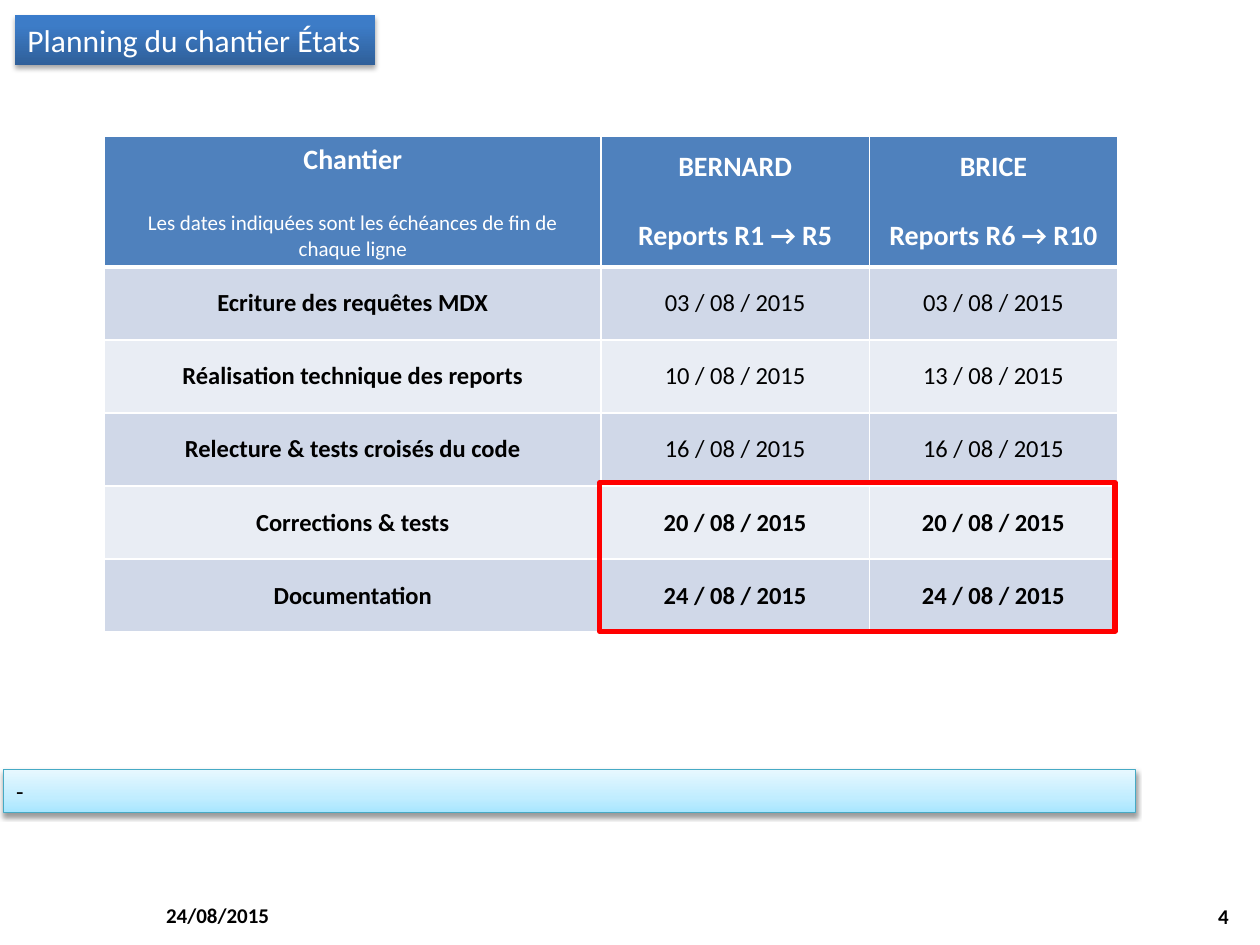
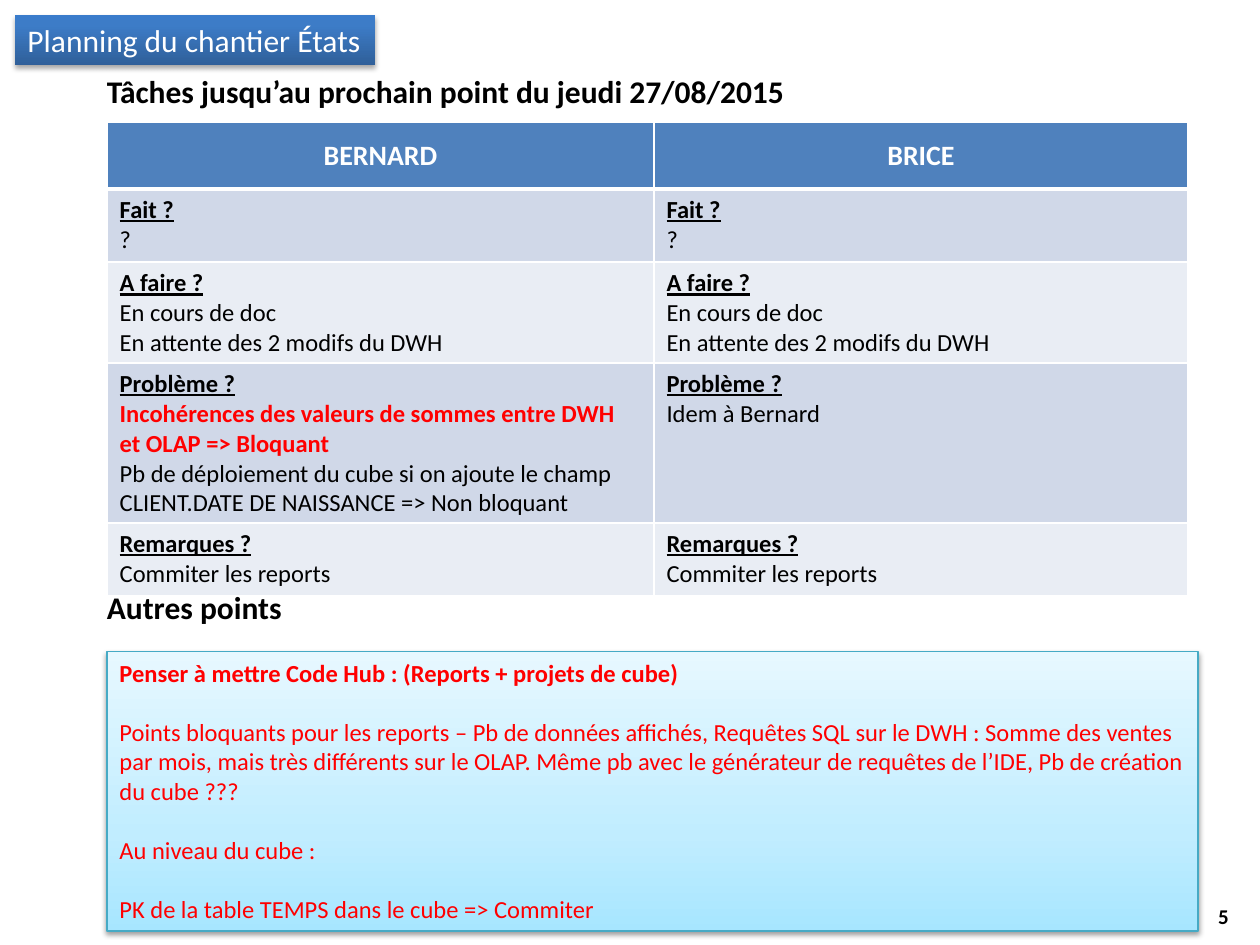
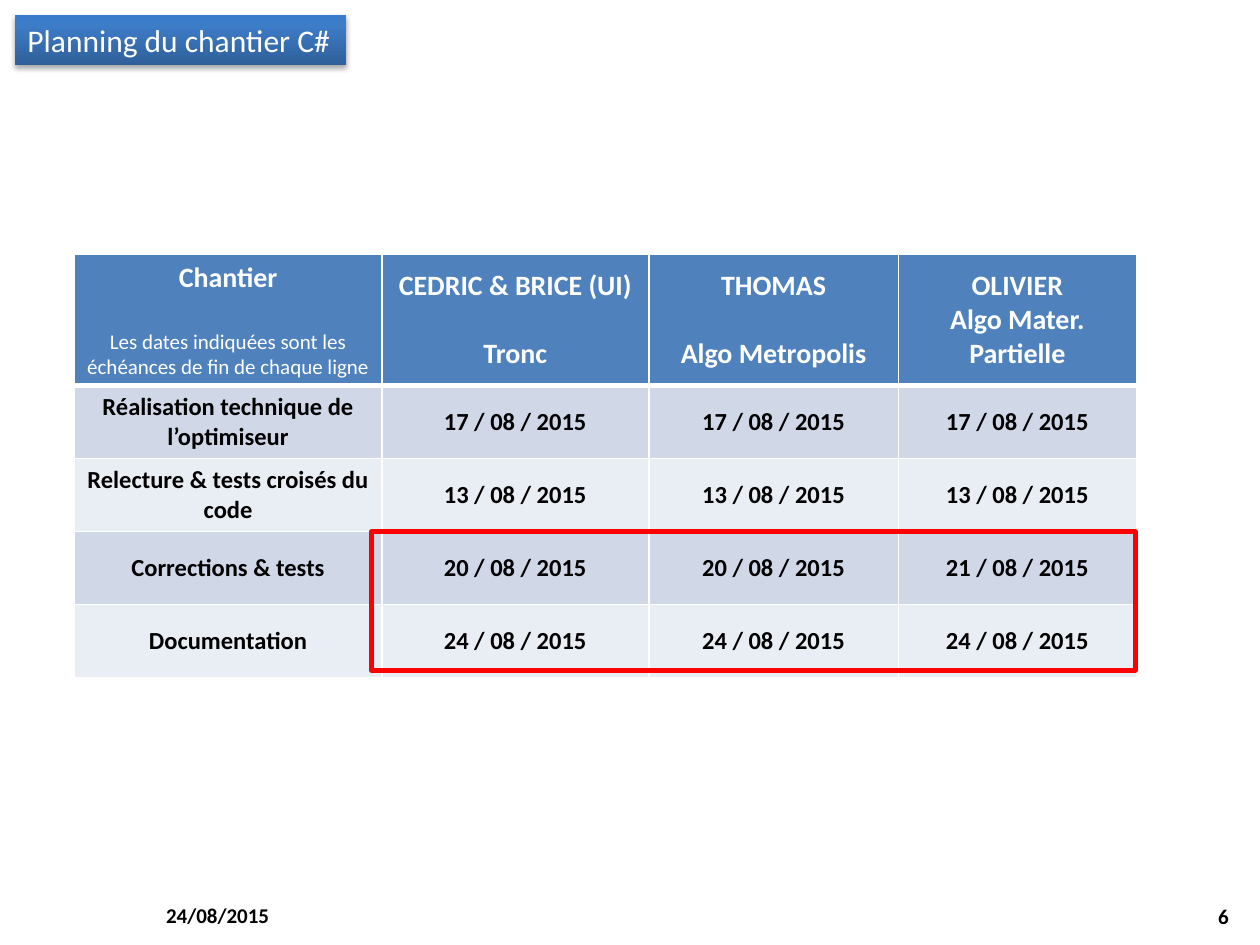
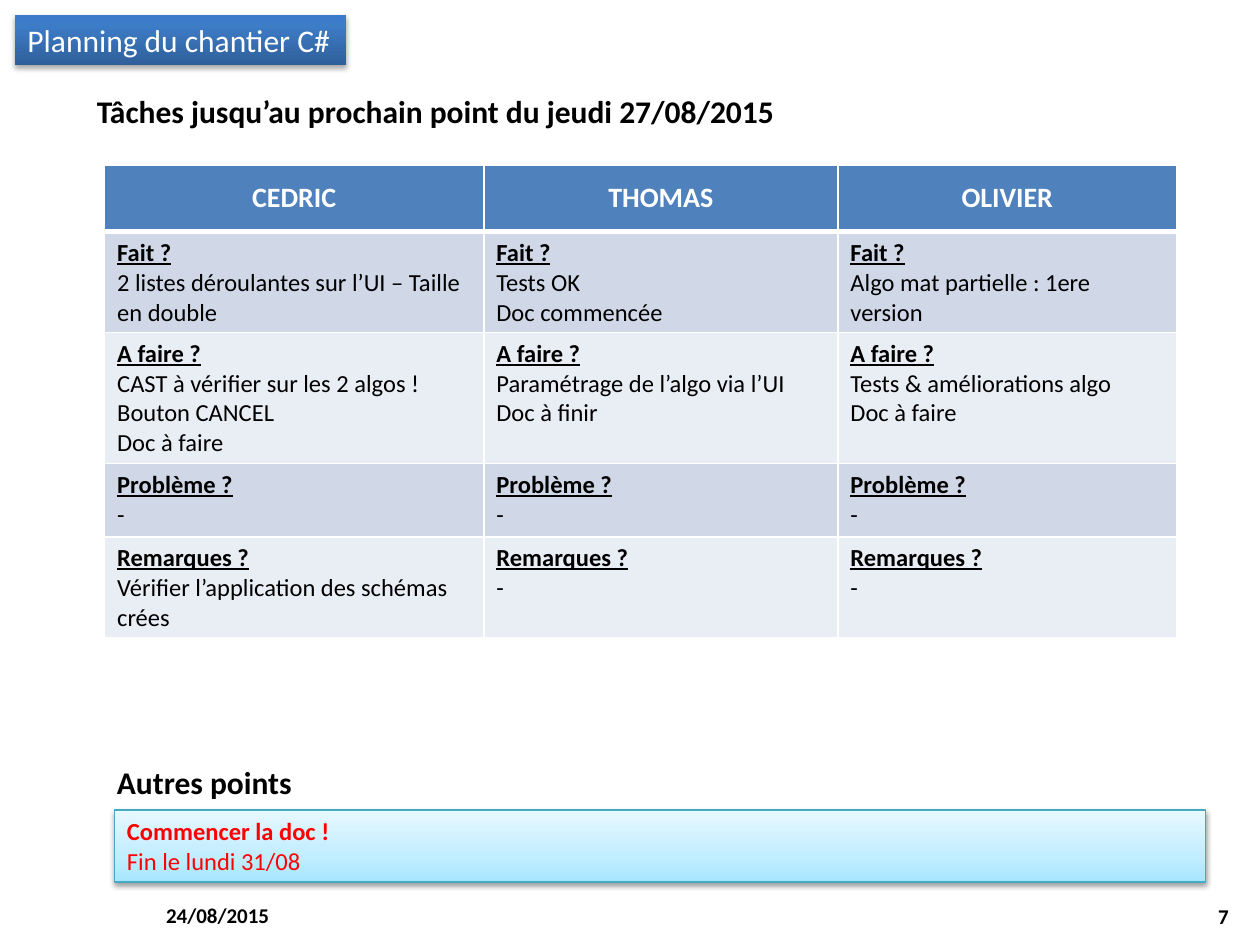
"""Build the four planning slides of the reporting and C# work streams."""
from copy import deepcopy
from dataclasses import dataclass

from pptx import Presentation
from pptx.dml.color import RGBColor
from pptx.enum.shapes import MSO_SHAPE
from pptx.enum.text import MSO_ANCHOR, MSO_AUTO_SIZE, PP_ALIGN
from pptx.oxml import parse_xml
from pptx.oxml.ns import nsdecls, qn
from pptx.util import Inches, Pt

RECTANGLE = MSO_SHAPE.RECTANGLE
TOP, MIDDLE = MSO_ANCHOR.TOP, MSO_ANCHOR.MIDDLE
LEFT, CENTER, RIGHT = PP_ALIGN.LEFT, PP_ALIGN.CENTER, PP_ALIGN.RIGHT
FIT_SHAPE = MSO_AUTO_SIZE.SHAPE_TO_FIT_TEXT


@dataclass(frozen=True)
class Theme:
    """Colours and type sizes of the deck."""
    font: str = "Calibri"
    black: str = "000000"
    white: str = "FFFFFF"
    red: str = "FF0000"
    header: str = "4F81BD"
    bands: tuple = ("D0D8E8", "E9EDF4")
    note_line: str = "46AAC5"
    title_gradient: tuple = ((0, "2F5F99"), (0.8, "3D7CC7"), (1, "3A7CCB"))
    note_gradient: tuple = ((0, "A7E6FF"), (0.35, "C1EDFF"), (1, "E7F8FF"))
    title_size: int = 18
    header_size: int = 16
    body_size: int = 14
    small_size: int = 12
    line_height: float = 1.22


THEME = Theme()


@dataclass(frozen=True)
class Line:
    """One paragraph with its formatting."""
    text: str
    size: int = THEME.body_size
    color: str = THEME.black
    bold: bool = False
    underline: bool = False
    gap: float = 0


DATE = "24/08/2015"
TASKS_HEADING = "Tâches jusqu’au prochain point du jeudi 27/08/2015"
OTHER_HEADING = "Autres points"
QUESTIONS = ("Fait ?", "A faire ?", "Problème ?", "Remarques ?")
HEADER_GAP = THEME.header_size * THEME.line_height
NOTE_GAP = THEME.body_size * THEME.line_height


def rgb(color):
    """Turn a hexadecimal colour into an RGBColor."""
    return RGBColor.from_string(color)


def box(left, top, width, height):
    """Convert a place in inches to lengths."""
    return [Inches(value) for value in (left, top, width, height)]


def write(text_frame, lines, align=LEFT):
    """Fill a text frame with formatted paragraphs."""
    text_frame.text = "\n".join(line.text for line in lines)
    for paragraph, line in zip(text_frame.paragraphs, lines):
        paragraph.alignment = align
        if line.gap:
            paragraph.space_before = Pt(line.gap)
        for run in paragraph.runs:
            run.font.name = THEME.font
            run.font.size = Pt(line.size)
            run.font.bold = line.bold
            run.font.underline = line.underline
            run.font.color.rgb = rgb(line.color)


def add_text(slide, place, line, align=LEFT, anchor=TOP, wrap=True):
    """Add a text box holding one paragraph."""
    text_frame = slide.shapes.add_textbox(*box(*place)).text_frame
    text_frame.word_wrap = wrap
    text_frame.vertical_anchor = anchor
    write(text_frame, [line], align)


def add_heading(slide, text, left, top, width):
    """Add a bold section heading."""
    line = Line(text, THEME.title_size, bold=True)
    add_text(slide, (left, top, width, 0.4), line, wrap=False)


def add_footer(slide, number, date=DATE):
    """Add the slide number and, if given, the date."""
    if date:
        add_text(slide, (1.22, 7.06, 2.33, 0.4),
                 Line(date, THEME.small_size, bold=True), anchor=MIDDLE)
    add_text(slide, (7.52, 7.07, 2.33, 0.4),
             Line(str(number), THEME.small_size, bold=True), RIGHT, MIDDLE)


def fill_gradient(shape, stops):
    """Fill a shape with a gradient rising from its bottom edge."""
    shape.fill.gradient()
    shape.fill.gradient_angle = 90
    stop_list = shape.element.spPr.find(".//" + qn("a:gsLst"))
    while len(stop_list) < len(stops):
        stop_list.append(deepcopy(stop_list[0]))
    for stop, (position, color) in zip(shape.fill.gradient_stops, stops):
        stop.position = position
        stop.color.rgb = rgb(color)


def add_shadow(shape, opacity, distance):
    """Give a shape a soft shadow below it."""
    shape.shadow.inherit = False
    shape.element.spPr.find(qn("a:effectLst")).append(parse_xml(
        f'<a:outerShdw {nsdecls("a")} blurRad="{Pt(3.1)}" dist="{Pt(distance)}" '
        f'dir="5400000" rotWithShape="0"><a:srgbClr val="{THEME.black}">'
        f'<a:alpha val="{opacity * 1000}"/></a:srgbClr></a:outerShdw>'))


def add_panel(slide, place, gradient, lines, opacity, distance, wrap=True):
    """Add a shaded rectangle with text."""
    shape = slide.shapes.add_shape(RECTANGLE, *box(*place))
    fill_gradient(shape, gradient)
    shape.line.fill.background()
    add_shadow(shape, opacity, distance)
    text_frame = shape.text_frame
    text_frame.word_wrap = wrap
    text_frame.auto_size = FIT_SHAPE
    text_frame.vertical_anchor = TOP
    write(text_frame, lines)
    return shape


def add_title(slide, text, width):
    """Add the blue title label."""
    line = Line(text, THEME.title_size, THEME.white)
    add_panel(slide, (0.12, 0.12, width, 0.4), THEME.title_gradient, [line],
              35, 1.8, wrap=False)


def add_note(slide, place, lines):
    """Add the light blue note panel."""
    note = add_panel(slide, place, THEME.note_gradient, lines, 38, 1.6)
    note.line.color.rgb = rgb(THEME.note_line)
    note.line.width = Pt(0.75)


def add_highlight(slide, place):
    """Add a red frame around the final deadlines."""
    frame = slide.shapes.add_shape(RECTANGLE, *box(*place))
    frame.shadow.inherit = False
    frame.fill.background()
    frame.line.color.rgb = rgb(THEME.red)
    frame.line.width = Pt(3)


def set_borders(cell, bottom):
    """Draw white borders around a cell."""
    properties = cell._tc.get_or_add_tcPr()
    for side, width in (("L", 1), ("R", 1), ("T", 1), ("B", bottom)):
        properties.append(parse_xml(
            f'<a:ln{side} {nsdecls("a")} w="{Pt(width)}"><a:solidFill>'
            f'<a:srgbClr val="{THEME.white}"/></a:solidFill></a:ln{side}>'))


def add_grid(slide, left, top, widths, heights, rows, body_align, body_anchor):
    """Add a banded table whose cells are lists of lines."""
    place = box(left, top, sum(widths), sum(heights))
    table = slide.shapes.add_table(len(rows), len(widths), *place).table
    for column, width in zip(table.columns, widths):
        column.width = Inches(width)
    for index, (row, height, contents) in enumerate(zip(table.rows, heights, rows)):
        row.height = Inches(height)
        is_header = index == 0
        fill = THEME.header if is_header else THEME.bands[(index - 1) % 2]
        for cell, lines in zip(row.cells, contents):
            set_borders(cell, 3 if is_header else 1)
            cell.fill.solid()
            cell.fill.fore_color.rgb = rgb(fill)
            cell.vertical_anchor = MIDDLE if is_header else body_anchor
            write(cell.text_frame, lines, CENTER if is_header else body_align)


def header_line(text, gap=0):
    """Make a line of a table header."""
    return Line(text, THEME.header_size, THEME.white, bold=True, gap=gap)


def add_schedule(slide, left, top, widths, people, steps, bold_from):
    """Add a table of deadlines, bold from the given step on."""
    legend = Line("Les dates indiquées sont les échéances de fin de chaque ligne",
                  THEME.small_size, THEME.white, gap=HEADER_GAP)
    rows = [[[header_line("Chantier"), legend]]]
    rows[0] += [[header_line(name), header_line(topic, gap)]
                for name, topic, gap in people]
    for index, (step, *days) in enumerate(steps):
        dates = [[Line(f"{day} / 08 / 2015", bold=index >= bold_from)] for day in days]
        rows.append([[Line(step, bold=True)], *dates])
    heights = [1.02] + [0.58] * len(steps)
    add_grid(slide, left, top, widths, heights, rows, CENTER, MIDDLE)


def add_tasks(slide, left, top, widths, heights, people, answers):
    """Add a table answering the four follow-up questions."""
    rows = [[[header_line(name)] for name in people]]
    for question, row in zip(QUESTIONS, answers):
        label = Line(question, bold=True, underline=True)
        rows.append([[label] + [item if isinstance(item, Line) else Line(item)
                                for item in answer] for answer in row])
    add_grid(slide, left, top, widths, heights, rows, LEFT, TOP)


def build_report_schedule(slide):
    """Build the deadlines of the reporting work."""
    add_footer(slide, 4)
    people = [("BERNARD", "Reports R1 → R5", HEADER_GAP),
              ("BRICE", "Reports R6 → R10", HEADER_GAP)]
    steps = [("Ecriture des requêtes MDX", "03", "03"),
             ("Réalisation technique des reports", "10", "13"),
             ("Relecture & tests croisés du code", "16", "16"),
             ("Corrections & tests", "20", "20"),
             ("Documentation", "24", "24")]
    add_schedule(slide, 0.83, 1.08, (3.94, 2.13, 1.97), people, steps, 3)
    add_title(slide, "Planning du chantier États", 2.86)
    add_highlight(slide, (4.76, 3.83, 4.09, 1.18))
    add_note(slide, (0.03, 6.11, 8.98, 0.34), [Line("-")])


def build_report_tasks(slide):
    """Build the follow-up of the reporting work."""
    add_footer(slide, 5, date=None)
    to_do = ["En cours de doc", "En attente des 2 modifs du DWH"]
    blocking = Line("Incohérences des valeurs de sommes entre DWH et OLAP => Bloquant",
                    color=THEME.red, bold=True)
    deployment = ("Pb de déploiement du cube si on ajoute le champ "
                  "CLIENT.DATE DE NAISSANCE => Non bloquant")
    answers = [[["?"]] * 2,
               [to_do] * 2,
               [[blocking, deployment], ["Idem à Bernard"]],
               [["Commiter les reports"]] * 2]
    add_tasks(slide, 0.85, 0.97, (4.34, 4.24), (0.53, 0.58, 0.8, 1.27, 0.58),
              ("BERNARD", "BRICE"), answers)
    add_heading(slide, TASKS_HEADING, 0.75, 0.52, 5.63)
    add_heading(slide, OTHER_HEADING, 0.75, 4.62, 1.6)
    points = ["Points bloquants pour les reports – Pb de données affichés, "
              "Requêtes SQL sur le DWH : Somme des ventes par mois, mais très "
              "différents sur le OLAP. Même pb avec le générateur de requêtes "
              "de l’IDE, Pb de création du cube ???",
              "Au niveau du cube :",
              "PK de la table TEMPS dans le cube => Commiter"]
    reminder = Line("Penser à mettre Code Hub : (Reports + projets de cube)",
                    color=THEME.red, bold=True)
    add_note(slide, (0.85, 5.17, 8.66, 2.22),
             [reminder] + [Line(point, color=THEME.red, gap=NOTE_GAP) for point in points])
    add_title(slide, "Planning du chantier États", 2.86)


def build_optimizer_schedule(slide):
    """Build the deadlines of the C# work."""
    add_footer(slide, 6)
    people = [("CEDRIC & BRICE (UI)", "Tronc", HEADER_GAP),
              ("THOMAS", "Algo Metropolis", HEADER_GAP),
              ("OLIVIER", "Algo Mater. Partielle", 0)]
    steps = [("Réalisation technique de l’optimiseur", "17", "17", "17"),
             ("Relecture & tests croisés du code", "13", "13", "13"),
             ("Corrections & tests", "20", "20", "21"),
             ("Documentation", "24", "24", "24")]
    add_schedule(slide, 0.59, 2.02, (2.44, 2.12, 1.98, 1.89), people, steps, 0)
    add_title(slide, "Planning du chantier C#", 2.63)
    add_highlight(slide, (2.95, 4.22, 6.06, 1.1))


def build_optimizer_tasks(slide):
    """Build the follow-up of the C# work."""
    add_footer(slide, 7)
    add_title(slide, "Planning du chantier C#", 2.63)
    answers = [[["2 listes déroulantes sur l’UI – Taille en double"],
                ["Tests OK", "Doc commencée"],
                ["Algo mat partielle : 1ere version"]],
               [["CAST à vérifier sur les 2 algos !", "Bouton CANCEL", "Doc à faire"],
                ["Paramétrage de l’algo via l’UI", "Doc à finir"],
                ["Tests & améliorations algo", "Doc à faire"]],
               [["-"]] * 3,
               [["Vérifier l’application des schémas crées"], ["-"], ["-"]]]
    add_tasks(slide, 0.83, 1.31, (3.01, 2.81, 2.69), (0.53, 0.8, 1.04, 0.58, 0.8),
              ("CEDRIC", "THOMAS", "OLIVIER"), answers)
    add_heading(slide, TASKS_HEADING, 0.67, 0.68, 5.63)
    add_heading(slide, OTHER_HEADING, 0.83, 6.01, 1.6)
    add_note(slide, (0.91, 6.43, 8.66, 0.57),
             [Line("Commencer la doc !", color=THEME.red, bold=True),
              Line("Fin le lundi 31/08", color=THEME.red)])


def main():
    """Build and save the presentation."""
    presentation = Presentation()
    presentation.slide_width = Inches(10)
    presentation.slide_height = Inches(7.5)
    blank_layout = presentation.slide_layouts[6]
    for build in (build_report_schedule, build_report_tasks,
                  build_optimizer_schedule, build_optimizer_tasks):
        build(presentation.slides.add_slide(blank_layout))
    presentation.save("out.pptx")


if __name__ == "__main__":
    main()
